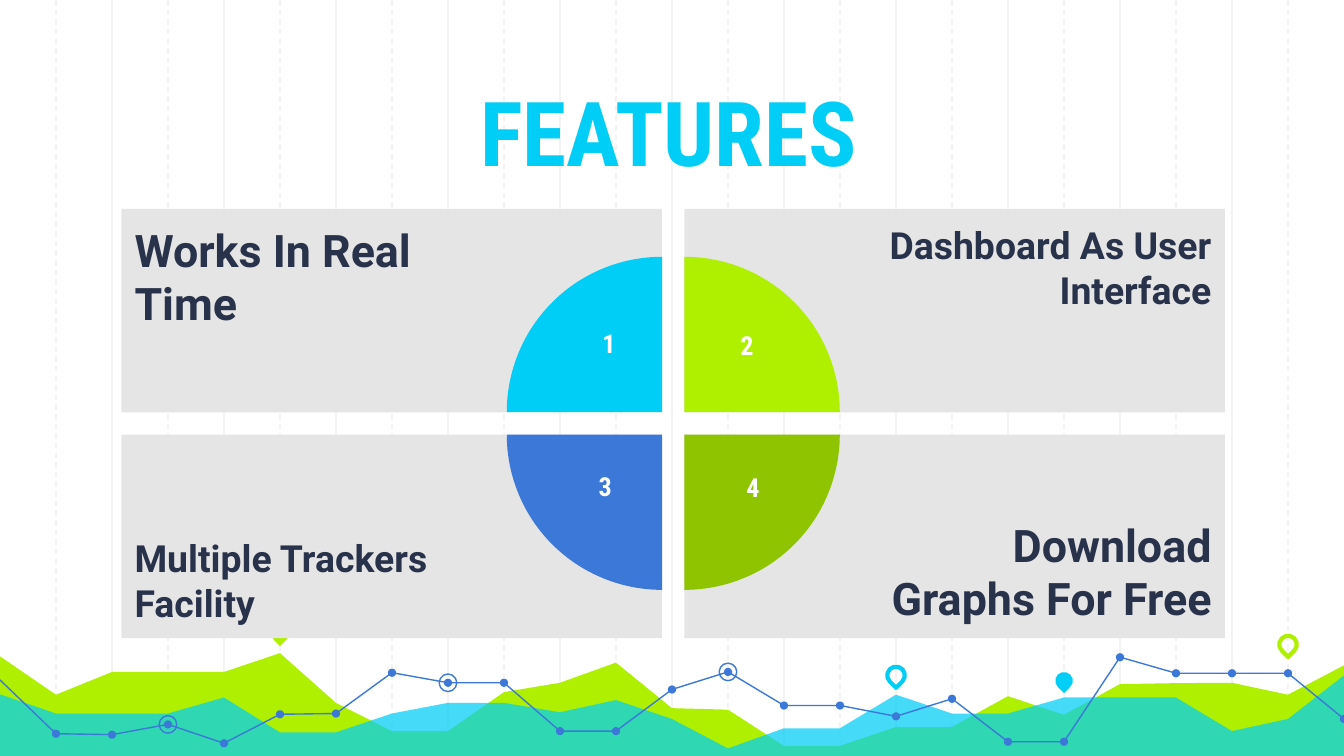
from dataclasses import dataclass
from typing import Any, Optional

from lxml.etree import SubElement
from pptx import Presentation
from pptx.dml.color import RGBColor
from pptx.enum.dml import MSO_LINE
from pptx.enum.shapes import MSO_CONNECTOR, MSO_SHAPE
from pptx.enum.text import MSO_ANCHOR, PP_ALIGN
from pptx.oxml.ns import qn
from pptx.util import Pt

HUES = {
    "aqua": "00CEF6",
    "lime": "AFF000",
    "green": "8EC400",
    "blue": "3C78D8",
    "gray": "E5E5E5",
    "pale": "F3F3F3",
    "ink": "28324A",
    "white": "FFFFFF",
}
STEP = 30
WIDE, HIGH = 24 * STEP, 405
BASE = 406.8
LIME = [350.6, 372.2, 360, 360, 360, 349.9, 376.6, 391.7, 391.7, 370.8, 365.8, 355, 379.4,
        380.2, 399.6, 399.6, 389.5, 389.5, 373, 383, 366.5, 366, 365.8, 372.2, 355.7]
AQUA = [371.5, 382.3, 382.3, 382.3, 373.7, 392.4, 392.4, 382.3, 376.6, 376.6, 381.6, 375.1, 385.2,
        401, 390.2, 390.2, 372.2, 382.3, 382.3, 373.7, 373.7, 373.7, 391.7, 385.2, 360.7]
TREND = [364.3, 393.1, 393.6, 388.1, 398.2, 382.7, 382.3, 360.4, 365.8, 365.8, 391.7, 391.7, 369.4,
         360, 378, 378, 383.8, 374.4, 397.4, 397.4, 352.1, 360.7, 360.7, 360.7, 385.2]
CUTS = [0, 11, 20, 24]
RINGS = [3, 8, 13]
DOT, RING = 4.4, 9.4


@dataclass
class Pin:
    col: int
    y: float
    hue: str
    solid: bool


@dataclass
class Card:
    text: str
    size: int
    col: int
    row: int
    hue: str
    turn: int


@dataclass
class Digit:
    text: str
    x: float
    y: float


PINS = [
    Pin(5, 339.5, "lime", True),
    Pin(16, 361.8, "aqua", False),
    Pin(19, 364.7, "aqua", True),
    Pin(23, 345.3, "lime", False),
]
CARDS = [
    Card("Works In Real Time", 24, 0, 0, "aqua", 0),
    Card("Dashboard As User Interface", 20, 1, 0, "lime", 90),
    Card("Multiple Trackers Facility", 20, 0, 1, "blue", 270),
    Card("Download Graphs For Free", 24, 1, 1, "green", 180),
]
DIGITS = [
    Digit("1", 325.6, 172.1),
    Digit("2", 399.6, 172.8),
    Digit("3", 323.6, 248.4),
    Digit("4", 402.8, 249.1),
]


def tint(hue: str) -> RGBColor:
    return RGBColor.from_string(HUES[hue])


def paint(shape: Any, fill: Optional[str], line: Optional[str] = None, wide: float = 0.75) -> None:
    shape.shadow.inherit = False
    if fill:
        shape.fill.solid()
        shape.fill.fore_color.rgb = tint(fill)
    else:
        shape.fill.background()
    if line:
        shape.line.color.rgb = tint(line)
        shape.line.width = Pt(wide)
    else:
        shape.line.fill.background()


def form(kind: MSO_SHAPE, x: float, y: float, wide: float, high: float) -> Any:
    return shapes.add_shape(kind, Pt(x), Pt(y), Pt(wide), Pt(high))


def disc(kind: MSO_SHAPE, x: float, y: float, size: float) -> Any:
    return form(kind, x - size / 2, y - size / 2, size, size)


def rule(col: int) -> None:
    x = Pt(col * STEP)
    line = shapes.add_connector(MSO_CONNECTOR.STRAIGHT, x, Pt(0), x, Pt(BASE))
    line.line.color.rgb = tint("pale")
    line.line.width = Pt(0.75)
    if col % 2:
        line.line.dash_style = MSO_LINE.DASH
    SubElement(line.element.spPr, qn("a:effectLst"))


def trace(spots: list[tuple[float, float]], close: bool) -> Any:
    ends = [(Pt(x), Pt(y)) for x, y in spots]
    path = shapes.build_freeform(*ends[0], scale=1.0)
    path.add_line_segments(ends[1:], close=close)
    return path.convert_to_shape()


def area(tops: list[float], hue: str) -> Any:
    spots = [(col * STEP, y) for col, y in enumerate(tops)]
    spots[0] = (-1.5, tops[0])
    spots[-1] = (WIDE + 1.5, tops[-1])
    shape = trace(spots + [(WIDE + 1.5, BASE), (-2, BASE)], True)
    paint(shape, hue)
    return shape


def write(shape: Any, text: str, size: int, font: str, hue: str, align: PP_ALIGN,
          anchor: MSO_ANCHOR, gap: float = 0) -> None:
    frame = shape.text_frame
    frame.word_wrap = True
    frame.vertical_anchor = anchor
    para = frame.paragraphs[0]
    para.alignment = align
    para.space_before = para.space_after = Pt(gap)
    run = para.add_run()
    run.text = text
    run.font.name = font
    run.font.size = Pt(size)
    run.font.bold = True
    run.font.color.rgb = tint(hue)


def inset(shape: Any, left: float, right: float) -> None:
    frame = shape.text_frame
    frame.margin_left, frame.margin_right = Pt(left), Pt(right)
    frame.margin_top = frame.margin_bottom = Pt(7.2)


def panel(card: Card) -> None:
    shape = form(MSO_SHAPE.RECTANGLE, 65 + 301.6 * card.col, 111.9 + 121 * card.row, 289.6, 109)
    paint(shape, "gray")
    inset(shape, *((108, 7.2) if card.col else (7.2, 108)))
    write(shape, card.text, card.size, "Roboto", "ink",
          PP_ALIGN.RIGHT if card.col else PP_ALIGN.LEFT,
          MSO_ANCHOR.BOTTOM if card.row else MSO_ANCHOR.TOP, 6 * card.row)


def wedge(card: Card) -> None:
    shape = form(MSO_SHAPE.PIE, 271.5 + 12 * card.col, 137.6 + 12 * card.row, 166.4, 166.4)
    shape.adjustments[0] = 108
    shape.adjustments[1] = 162
    shape.rotation = card.turn
    paint(shape, card.hue)


def mark(pin: Pin) -> None:
    shape = disc(MSO_SHAPE.TEAR, pin.col * STEP, pin.y, RING)
    shape.rotation = 135
    paint(shape, pin.hue if pin.solid else None, None if pin.solid else pin.hue, 2.25)


deck = Presentation()
deck.slide_width, deck.slide_height = Pt(WIDE), Pt(HIGH)
shapes = deck.slides.add_slide(deck.slide_layouts[6]).shapes

for col in [*range(2, 24, 2), *range(1, 24, 2)]:
    rule(col)

area(LIME, "lime")
veil = area(AQUA, "aqua")
SubElement(next(veil.element.iter(qn("a:srgbClr"))), qn("a:alpha"), val="73000")

for pin in PINS:
    mark(pin)

nodes = [(col * STEP, y) for col, y in enumerate(TREND)]
for head, tail in zip(CUTS, CUTS[1:]):
    paint(trace(nodes[head:tail + 1], False), None, "blue")
for x, y in nodes[1:]:
    paint(disc(MSO_SHAPE.OVAL, x, y, DOT), "blue")
for col in RINGS:
    paint(disc(MSO_SHAPE.OVAL, *nodes[col], RING), None, "blue")

title = shapes.add_textbox(Pt(82.8), Pt(49.7), Pt(550.8), Pt(56.2))
inset(title, 7.2, 7.2)
write(title, "FEATURES", 48, "Roboto Condensed", "aqua", PP_ALIGN.CENTER, MSO_ANCHOR.BOTTOM)

for card in CARDS:
    panel(card)
for card in CARDS:
    wedge(card)
for digit in DIGITS:
    box = shapes.add_textbox(Pt(digit.x - 10), Pt(digit.y), Pt(20), Pt(35))
    write(box, digit.text, 14, "Roboto Condensed", "white", PP_ALIGN.CENTER, MSO_ANCHOR.TOP)

deck.save("out.pptx")
